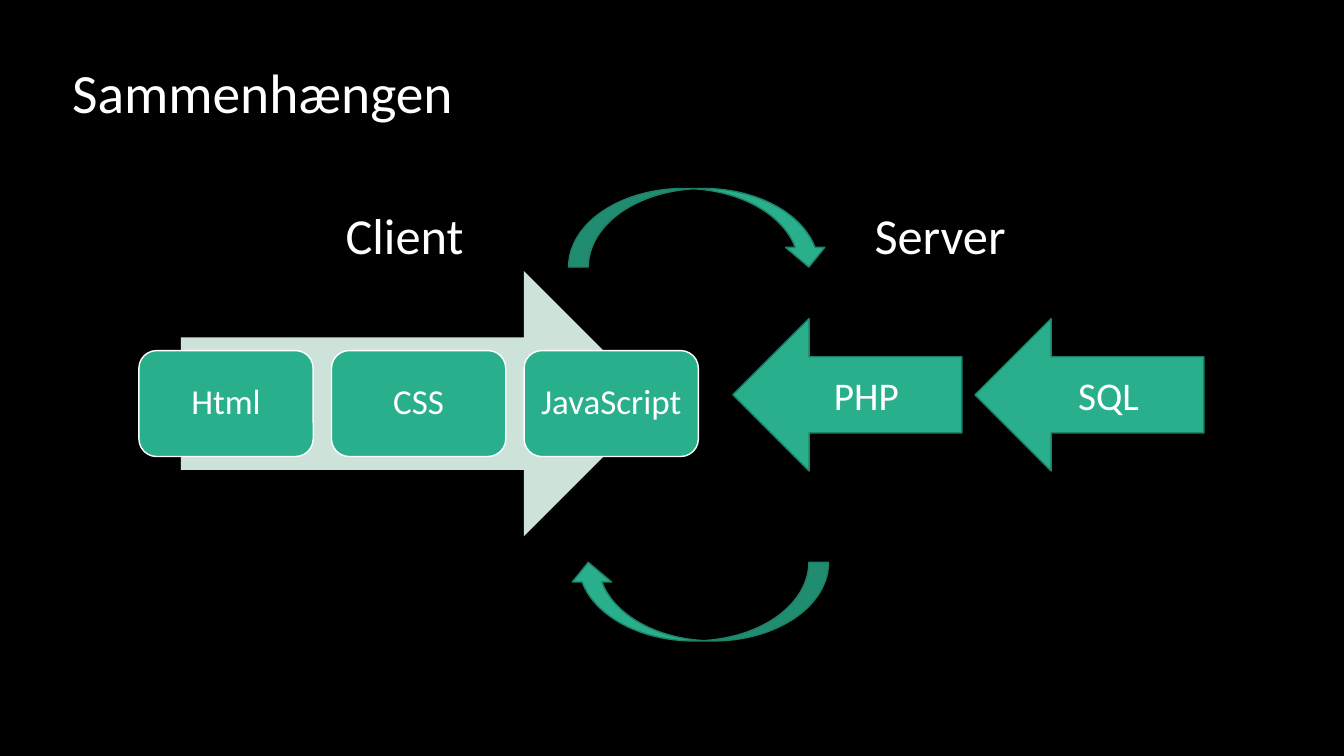
from pptx import Presentation
from pptx.dml.color import RGBColor
from pptx.enum.shapes import MSO_SHAPE
from pptx.enum.text import MSO_ANCHOR, PP_ALIGN
from pptx.util import Cm, Pt

BLACK = RGBColor(0x00, 0x00, 0x00)
WHITE = RGBColor(0xFF, 0xFF, 0xFF)
GREEN = RGBColor(0x29, 0xAF, 0x8C)
DARK = RGBColor(0x1E, 0x81, 0x68)
PALE = RGBColor(0xCD, 0xE3, 0xDA)

RIGHT = MSO_SHAPE.RIGHT_ARROW
LEFT = MSO_SHAPE.LEFT_ARROW
ROUND = MSO_SHAPE.ROUNDED_RECTANGLE
CURVE = MSO_SHAPE.CURVED_DOWN_ARROW
TOP, MIDDLE = MSO_ANCHOR.TOP, MSO_ANCHOR.MIDDLE
START, CENTER = PP_ALIGN.LEFT, PP_ALIGN.CENTER


def write(shape, text, size, align=CENTER, anchor=MIDDLE, spacing=1.0):
    frame = shape.text_frame
    frame.word_wrap = True
    frame.vertical_anchor = anchor
    para = frame.paragraphs[0]
    para.alignment = align
    para.line_spacing = spacing
    run = para.add_run()
    run.text = text
    run.font.name = "Calibri"
    run.font.size = Pt(size)
    run.font.color.rgb = WHITE


def add_label(slide, box, text, size, **style):
    label = slide.shapes.add_textbox(*map(Cm, box))
    write(label, text, size, align=START, **style)


def add_shape(slide, kind, box, fill=GREEN, line=DARK):
    shape = slide.shapes.add_shape(kind, *map(Cm, box))
    shape.shadow.inherit = False
    shape.fill.solid()
    shape.fill.fore_color.rgb = fill
    if line is None:
        shape.line.fill.background()
    else:
        shape.line.color.rgb = line
        shape.line.width = Pt(1)
    return shape


def split(box, count, gap):
    """Return equal boxes side by side within the given box."""
    x, y, w, h = box
    width = (w - gap * (count - 1)) / count
    return [(x + i * (width + gap), y, width, h) for i in range(count)]


def add_client(slide, box, names):
    x, y, w, h = box
    add_label(slide, (x + 4.96, y, 5.56, 1.8), "Client", 36, anchor=TOP)
    arrow_w, arrow_h, card_h = 0.85 * w, 6.68, 2.67
    top = y + h - arrow_h
    add_shape(slide, RIGHT, (x + (w - arrow_w) / 2, top, arrow_w, arrow_h),
              fill=PALE, line=None)
    row = (x, top + (arrow_h - card_h) / 2, w, card_h)
    for name, place in zip(names, split(row, len(names), 0.46)):
        card = add_shape(slide, ROUND, place, line=WHITE)
        write(card, name, 25, spacing=0.9)


def add_server(slide, box, names):
    x, y, w, h = box
    add_label(slide, (x + 3.32, y, 4.62, 1.8), "Server", 36, anchor=TOP)
    row = (x, y + h - 3.84, w, 3.84)
    for name, place in zip(names, split(row, len(names), 0.33)):
        write(add_shape(slide, LEFT, place), name, 28)


def add_cycle(slide, box):
    """Place one curved arrow at the top and a turned one at the bottom."""
    x, y, w, h = box
    size = 1.98
    for top, turn in ((y, 0), (y + h - size, 180)):
        add_shape(slide, CURVE, (x, top, w, size)).rotation = turn


def main():
    deck = Presentation()
    deck.slide_width, deck.slide_height = Cm(33.87), Cm(19.05)
    slide = deck.slides.add_slide(deck.slide_layouts[6])
    slide.background.fill.solid()
    slide.background.fill.fore_color.rgb = BLACK

    add_label(slide, (1.57, 1.45, 27.84, 1.93), "Sammenhængen", 39.6,
              spacing=0.9)
    add_client(slide, (3.5, 5.03, 14.1, 8.48), ("Html", "CSS", "JavaScript"))
    add_server(slide, (18.47, 5.03, 11.87, 6.84), ("PHP", "SQL"))
    add_cycle(slide, (14.33, 4.75, 6.55, 11.4))
    deck.save("out.pptx")


if __name__ == "__main__":
    main()
